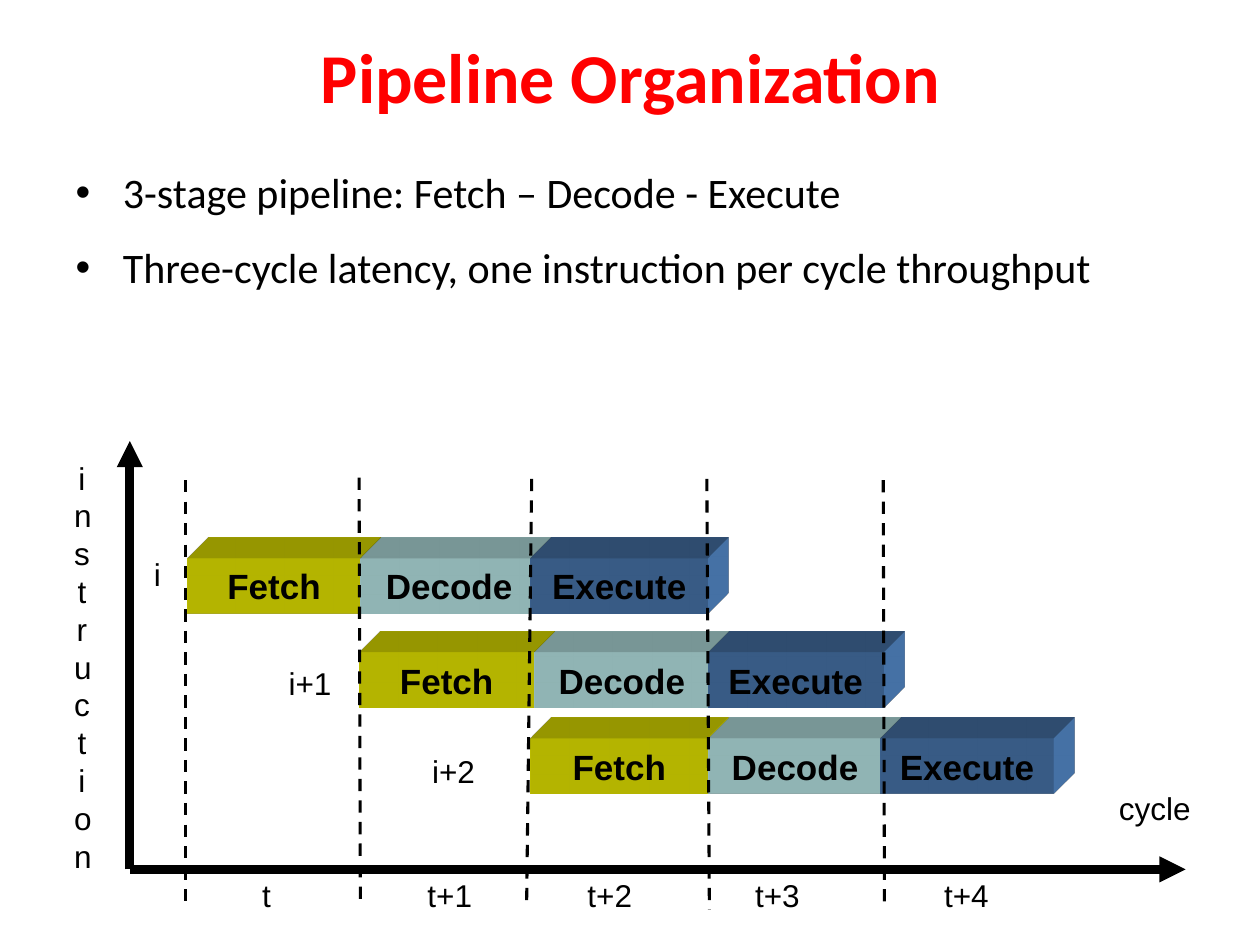
"""Build a slide on the timing of a three-stage instruction pipeline."""
from lxml import etree
from pptx import Presentation
from pptx.dml.color import RGBColor
from pptx.enum.dml import MSO_LINE
from pptx.enum.shapes import MSO_CONNECTOR, MSO_SHAPE
from pptx.enum.text import MSO_ANCHOR, MSO_AUTO_SIZE, PP_ALIGN
from pptx.oxml import parse_xml
from pptx.oxml.ns import qn
from pptx.util import Inches, Pt

STRAIGHT = MSO_CONNECTOR.STRAIGHT
DASH = MSO_LINE.DASH
RECTANGLE = MSO_SHAPE.RECTANGLE
MIDDLE, TOP = MSO_ANCHOR.MIDDLE, MSO_ANCHOR.TOP
FIXED, GROW = MSO_AUTO_SIZE.NONE, MSO_AUTO_SIZE.SHAPE_TO_FIT_TEXT
CENTER, LEFT = PP_ALIGN.CENTER, PP_ALIGN.LEFT

DRAWING = 'xmlns:a="http://schemas.openxmlformats.org/drawingml/2006/main"'
BLACK = "000000"
TITLE_FONT = {"name": "Calibri", "size": Pt(40), "bold": True}
BODY_FONT = {"name": "Calibri", "size": Pt(24), "bold": False}
STAGE_FONT = {"name": "Arial", "size": Pt(20), "bold": True}
LABEL_FONT = {"name": "Arial", "size": Pt(18), "bold": False}

BULLETS = [
    "3-stage pipeline: Fetch – Decode - Execute",
    "Three-cycle latency, one instruction per cycle throughput",
]
STAGES = [("Fetch", "FFFF00"), ("Decode", "CCFFFF"), ("Execute", "4F81BD")]
STAGE_HEIGHT = 0.44
INSTRUCTIONS = [
    (4.43, [(1.49, 1.37), (2.86, 1.41), (4.21, 1.41)]),
    (5.18, [(2.85, 1.39), (4.24, 1.39), (5.62, 1.39)]),
    (5.86, [(4.21, 1.41), (5.62, 1.38), (6.99, 1.37)]),
]
ORIGIN = (1.03, 6.9)
AXIS_ENDS = [(1.03, 3.5), (9.41, 6.9)]
CYCLE_BOUNDARIES = [
    ((1.47, 3.81), (1.47, 7.15)),
    ((2.85, 3.79), (2.86, 7.15)),
    ((4.22, 3.8), (4.18, 7.15)),
    ((5.61, 3.8), (5.63, 7.22)),
    ((7.01, 3.81), (7.02, 7.22)),
]
AXIS_TITLES = [
    ("cycle", 8.78, 6.21, 0.77, 0.4),
    ("instruction", 0.49, 3.59, 0.32, 3.4),
]
TICK_LABELS = [
    ("t", 1.98, 6.9, 0.27, 0.4),
    ("t+1", 3.29, 6.9, 0.56, 0.4),
    ("t+2", 4.56, 6.9, 0.56, 0.4),
    ("t+3", 5.89, 6.9, 0.56, 0.4),
    ("t+4", 7.39, 6.9, 0.56, 0.4),
    ("i", 1.12, 4.36, 0.26, 0.4),
    ("i+1", 2.19, 5.22, 0.54, 0.4),
    ("i+2", 3.33, 5.92, 0.54, 0.4),
]


def rgb(hex_color):
    """Return the colour for a hex string."""
    return RGBColor.from_string(hex_color)


def apply(target, values):
    """Set each attribute of target named in values."""
    for name, value in values.items():
        setattr(target, name, value)


def write(shape, lines, font, color, frame_format, paragraph_format):
    """Fill a shape with one formatted paragraph per line."""
    frame = shape.text_frame
    frame.text = "\n".join(lines)
    apply(frame, frame_format)
    for paragraph in frame.paragraphs:
        apply(paragraph, paragraph_format)
        apply(paragraph.runs[0].font, font)
        paragraph.runs[0].font.color.rgb = rgb(color)


def place(placeholder, left, top, width, height):
    """Move and size a placeholder."""
    sides = {"left": left, "top": top, "width": width, "height": height}
    apply(placeholder, {side: Inches(size) for side, size in sides.items()})


def extrude(shape, color):
    """Give a shape depth towards the top right."""
    shape_properties = shape._element.spPr
    shape_properties.append(parse_xml(
        f'<a:scene3d {DRAWING}><a:camera prst="legacyObliqueTopRight"/>'
        '<a:lightRig rig="legacyFlat3" dir="b"/></a:scene3d>'))
    shape_properties.append(parse_xml(
        f'<a:sp3d {DRAWING} extrusionH="430200" prstMaterial="legacyMatte">'
        f'<a:extrusionClr><a:srgbClr val="{color}"/></a:extrusionClr></a:sp3d>'))


def add_stage(slide, name, color, left, top, width):
    """Add one pipeline stage as a solid block."""
    block = slide.shapes.add_shape(
        RECTANGLE, *map(Inches, (left, top, width, STAGE_HEIGHT)))
    block.shadow.inherit = False
    block.fill.solid()
    block.fill.fore_color.rgb = rgb(color)
    block.line.fill.background()
    extrude(block, color)
    write(block, [name], STAGE_FONT, BLACK,
          {"word_wrap": False, "vertical_anchor": MIDDLE}, {"alignment": CENTER})


def add_label(slide, label, left, top, width, height, wrap):
    """Add a centred text label."""
    box = slide.shapes.add_textbox(*map(Inches, (left, top, width, height)))
    write(box, [label], LABEL_FONT, BLACK,
          {"word_wrap": wrap, "auto_size": GROW}, {"alignment": CENTER})


def add_line(slide, start, end, weight):
    """Add a straight black line and return its format."""
    connector = slide.shapes.add_connector(STRAIGHT, *map(Inches, start + end))
    connector.line.color.rgb = rgb(BLACK)
    connector.line.width = Pt(weight)
    etree.SubElement(connector._element.spPr, qn("a:effectLst"))
    return connector.line


def add_axis(slide, end):
    """Add an axis arrow from the origin."""
    axis = add_line(slide, ORIGIN, end, 5)
    etree.SubElement(axis._get_or_add_ln(), qn("a:tailEnd"), type="triangle")


def main():
    """Build and save the slide."""
    deck = Presentation()
    deck.slide_width, deck.slide_height = Inches(10), Inches(7.5)
    slide = deck.slides.add_slide(deck.slide_layouts[1])

    title, body = slide.placeholders
    place(title, 0.28, 0.13, 9.45, 0.94)
    write(title, ["Pipeline Organization"], TITLE_FONT, "FF0000",
          {"vertical_anchor": MIDDLE, "auto_size": FIXED}, {"alignment": CENTER})
    place(body, 0.5, 1.07, 9, 1.58)
    write(body, BULLETS, BODY_FONT, BLACK,
          {"vertical_anchor": TOP, "auto_size": FIXED},
          {"alignment": LEFT, "line_spacing": 1.5, "space_before": Pt(0)})

    for top, spans in INSTRUCTIONS:
        for (name, color), (left, width) in zip(STAGES, spans):
            add_stage(slide, name, color, left, top, width)
    for end in AXIS_ENDS:
        add_axis(slide, end)
    for start, end in CYCLE_BOUNDARIES:
        add_line(slide, start, end, 1.75).dash_style = DASH
    for axis_title in AXIS_TITLES:
        add_label(slide, *axis_title, wrap=True)
    for tick_label in TICK_LABELS:
        add_label(slide, *tick_label, wrap=False)

    deck.save("out.pptx")


if __name__ == "__main__":
    main()
